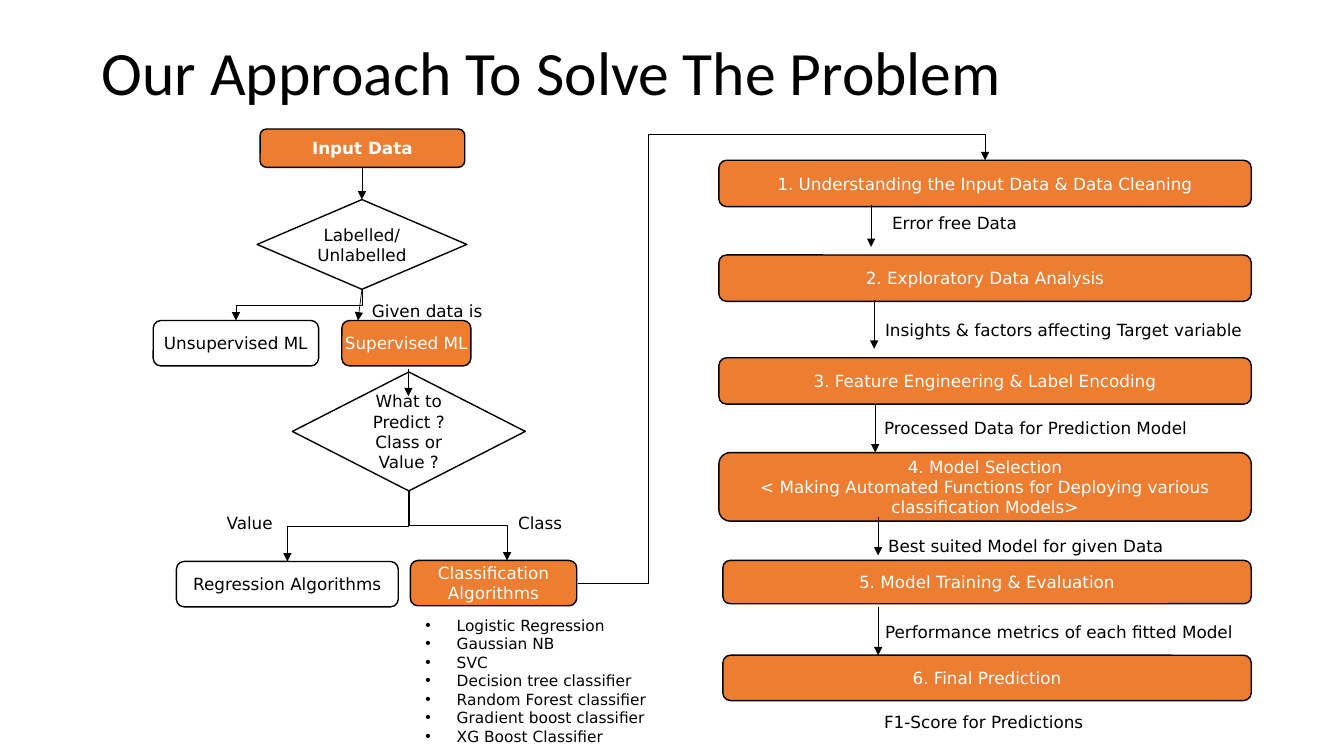
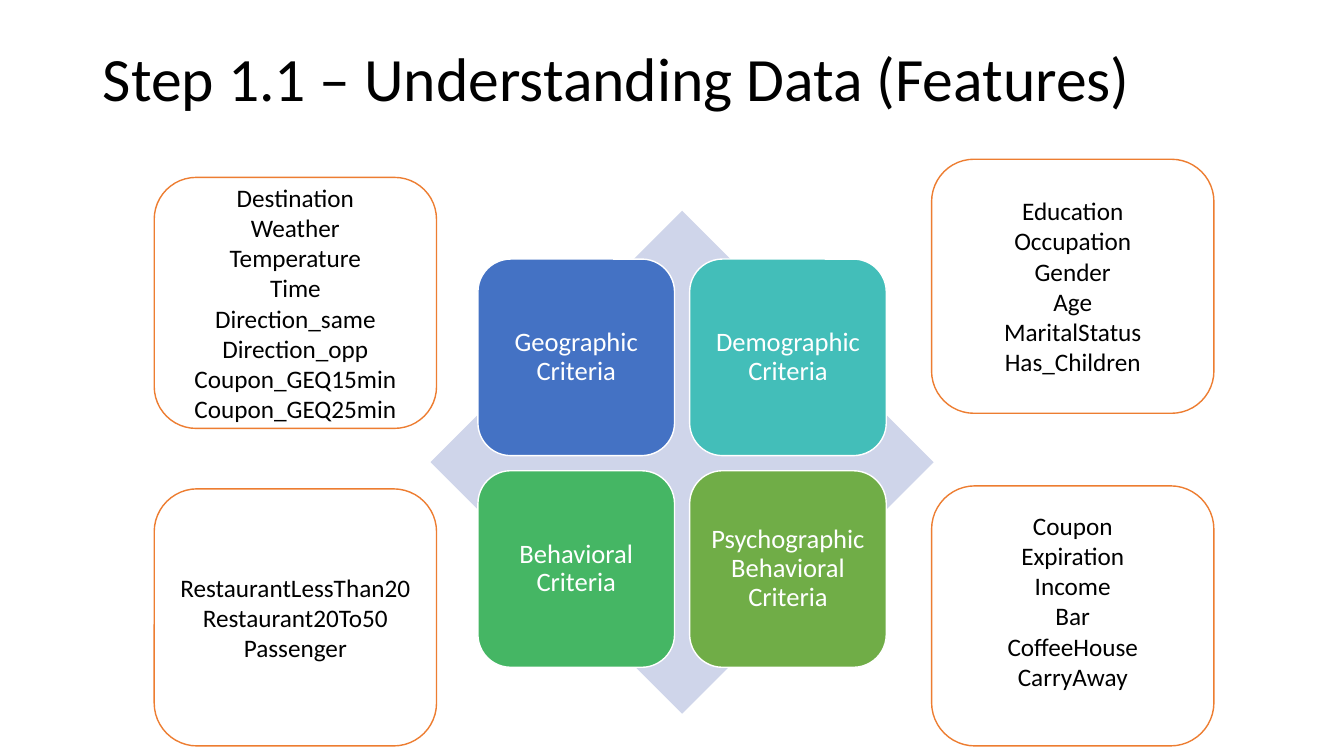
"""Build two slides: a modelling approach flowchart and a feature criteria matrix."""
from lxml.etree import SubElement
from pptx import Presentation
from pptx.dml.color import RGBColor
from pptx.enum.shapes import MSO_CONNECTOR as LINK, MSO_SHAPE as SHAPE
from pptx.enum.text import MSO_ANCHOR as ANCHOR, MSO_AUTO_SIZE as FIT, PP_ALIGN as ALIGN
from pptx.oxml.ns import qn
from pptx.util import Pt

PX = 9144
SLIDE_SIZE = (1333, 750)
COLORS = {
    "black": "000000", "white": "FFFFFF", "orange": "ED7D31", "pale": "CFD5EA",
    "blue": "4472C4", "teal": "43BEB9", "green": "45B664", "olive": "70AD47",
}
TITLE_FONT, FLOW_FONT = "Calibri", "DejaVu Sans"

APPROACH_TITLE = ("Our Approach To Solve The Problem", (91, 2, 1150, 145))
FEATURES_TITLE = ("Step 1.1 – Understanding Data (Features)", (92, 40, 1150, 81))

BULLETS_AREA = (412, 606, 255, 140)
BULLET_INDENT = 31
CLASSIFIERS = [
    "Logistic Regression", "Gaussian NB", "SVC", "Decision tree classifier",
    "Random Forest classifier", "Gradient boost classifier", "XG Boost Classifier",
]
DECISIONS = [
    (["Labelled/ Unlabelled"], (255, 198, 208, 89)),
    (["What to Predict ?", "Class or Value ?"], (290, 369, 231, 118)),
]
LABELS = [
    ("Given data is", (359, 293, 195, 30)),
    ("Class", (504, 504, 70, 30)),
    ("Value", (215, 504, 70, 26)),
    ("F1-Score for Predictions", (867, 701, 270, 30)),
]
NODES = [
    (["Input Data"], (258, 128, 203, 38), "orange", True),
    (["Unsupervised ML"], (152, 318, 164, 45), "white", False),
    (["Supervised ML"], (339, 318, 128, 45), "orange", False),
    (["Regression Algorithms"], (175, 557, 220, 45), "white", False),
    (["Classification", "Algorithms"], (407, 556, 165, 45), "orange", False),
]
ARROWS = [(359, 167, 359, 198), (359, 287, 355, 318), (405, 366, 405, 393)]
BRANCHES = [(359, 287, 234, 318), (405, 487, 285, 557), (406, 487, 503, 556)]
LOOP_ARROW = (573, 579, 977, 159)
LOOP_BENDS = (17400, 106000)

STEPS_RIGHT = 1241
STEPS = [
    (["1. Understanding the Input Data & Data Cleaning"], 713, 159, 46),
    (["2. Exploratory Data Analysis"], 713, 253, 46),
    (["3. Feature Engineering & Label Encoding"], 713, 355, 46),
    (["4. Model Selection",
      "< Making Automated Functions for Deploying various classification Models>"],
     713, 449, 68),
    (["5. Model Training & Evaluation"], 717, 556, 43),
    (["6. Final Prediction"], 717, 650, 45),
]
HANDOVERS = [
    ((864, 203, 245), "Error free Data", (875, 206, 270, 30)),
    ((867, 298, 346), "Insights & factors affecting Target variable", (868, 312, 404, 30)),
    ((868, 401, 449), "Processed Data for Prediction Model", (867, 410, 354, 30)),
    ((871, 513, 551), "Best suited Model for given Data", (871, 527, 362, 30)),
    ((871, 602, 650), "Performance metrics of each fitted Model", (868, 612, 387, 30)),
]

DIAMOND_AREA = (427, 209, 499, 499)
TILE_ORIGIN, TILE_SIZE, TILE_PITCH = (474, 257), 195, 210
TILES = [
    ("Geographic Criteria", "blue"), ("Demographic Criteria", "teal"),
    ("Behavioral Criteria", "green"), ("Psychographic Behavioral Criteria", "olive"),
]
FEATURES = [
    (["Education", "Occupation", "Gender", "Age", "MaritalStatus", "Has_Children"],
     (924, 158, 280, 252), 5),
    (["Coupon", "Expiration", "Income", "Bar", "CoffeeHouse", "CarryAway"],
     (924, 482, 280, 258), 35),
    (["RestaurantLessThan20", "Restaurant20To50", "Passenger"],
     (153, 485, 280, 255), 5),
    (["Destination", "Weather", "Temperature", "Time", "Direction_same",
      "Direction_opp", "Coupon_GEQ15min", "Coupon_GEQ25min"],
     (153, 176, 280, 249), 5),
]


def emu(lengths):
    return [length * PX for length in lengths]


def color(name):
    return RGBColor.from_string(COLORS[name])


def write(shape, lines, size, font, ink="black", align=ALIGN.LEFT, anchor=ANCHOR.TOP,
          insets=(10, 5, 10, 5), bold=False, spacing=1.0):
    frame = shape.text_frame
    frame.text = "\n".join(lines)
    frame.word_wrap = True
    frame.auto_size = FIT.NONE
    frame.vertical_anchor = anchor
    (frame.margin_left, frame.margin_top,
     frame.margin_right, frame.margin_bottom) = emu(insets)
    for para in frame.paragraphs:
        para.alignment = align
        para.line_spacing = spacing
        for span in para.runs:
            span.font.size = Pt(size)
            span.font.name = font
            span.font.bold = bold
            span.font.color.rgb = color(ink)


def place(shape, area):
    shape.left, shape.top, shape.width, shape.height = emu(area)


def new_slide(deck, layout, title):
    slide = deck.slides.add_slide(deck.slide_layouts[layout])
    text, area = title
    place(slide.shapes.title, area)
    write(slide.shapes.title, [text], 44, TITLE_FONT, anchor=ANCHOR.MIDDLE, spacing=0.9)
    return slide


def add_box(slide, kind, area, fill=None, line=None):
    box = slide.shapes.add_shape(kind, *emu(area))
    box.shadow.inherit = False
    if fill:
        box.fill.solid()
        box.fill.fore_color.rgb = color(fill)
    else:
        box.fill.background()
    if line:
        box.line.color.rgb = color(line)
        box.line.width = Pt(1)
    else:
        box.line.fill.background()
    return box


def add_node(slide, kind, lines, area, fill, bold=False):
    box = add_box(slide, kind, area, fill, "black")
    write(box, lines, 12, FLOW_FONT, "white" if fill == "orange" else "black",
          ALIGN.CENTER, ANCHOR.MIDDLE, (0, 0, 0, 0), bold)


def add_label(slide, text, area):
    write(slide.shapes.add_textbox(*emu(area)), [text], 12, FLOW_FONT)


def add_arrow(slide, ends, kind=LINK.STRAIGHT):
    arrow = slide.shapes.add_connector(kind, *emu(ends))
    arrow.line.color.rgb = color("black")
    arrow.line.width = Pt(0.5)
    outline = arrow._element.spPr.find(qn("a:ln"))
    SubElement(outline, qn("a:tailEnd"), type="triangle")
    SubElement(arrow._element.spPr, qn("a:effectLst"))
    return arrow


def add_branch(slide, ends):
    """Draw an elbow that leaves downwards, by turning the horizontal preset."""
    x1, y1, x2, y2 = ends
    across, down = abs(x2 - x1), y2 - y1
    arrow = add_arrow(slide, (0, 0, down, across), LINK.ELBOW)
    arrow.left = round(((x1 + x2 - down) / 2) * PX)
    arrow.top = round(((y1 + y2 - across) / 2) * PX)
    frame = arrow._element.spPr.find(qn("a:xfrm"))
    if x2 > x1:
        frame.set("flipH", "1")
    frame.set("rot", str((270 if x2 > x1 else 90) * 60000))


def add_loop(slide):
    arrow = add_arrow(slide, LOOP_ARROW, LINK.ELBOW)
    preset = arrow._element.spPr.find(qn("a:prstGeom"))
    preset.set("prst", "bentConnector4")
    guides = preset.find(qn("a:avLst"))
    for number, bend in enumerate(LOOP_BENDS, 1):
        SubElement(guides, qn("a:gd"), name=f"adj{number}", fmla=f"val {bend}")


def add_bullets(slide):
    body = slide.placeholders[1]
    place(body, BULLETS_AREA)
    write(body, CLASSIFIERS, 11, FLOW_FONT)
    for para in body.text_frame.paragraphs:
        para.space_before = Pt(0)
        props = para._p.get_or_add_pPr()
        props.set("marL", str(BULLET_INDENT * PX))
        props.set("indent", str(-BULLET_INDENT * PX))
        SubElement(props, qn("a:buChar"), char="•")


def build_approach(deck):
    slide = new_slide(deck, 1, APPROACH_TITLE)
    add_bullets(slide)
    for lines, area in DECISIONS:
        add_node(slide, SHAPE.FLOWCHART_DECISION, lines, area, "white")
    for text, area in LABELS:
        add_label(slide, text, area)
    for lines, area, fill, bold in NODES:
        add_node(slide, SHAPE.ROUNDED_RECTANGLE, lines, area, fill, bold)
    for lines, left, top, height in STEPS:
        area = (left, top, STEPS_RIGHT - left, height)
        add_node(slide, SHAPE.ROUNDED_RECTANGLE, lines, area, "orange")
    for (x, top, bottom), text, area in HANDOVERS:
        add_arrow(slide, (x, top, x, bottom))
        add_label(slide, text, area)
    for ends in ARROWS:
        add_arrow(slide, ends)
    for ends in BRANCHES:
        add_branch(slide, ends)
    add_loop(slide)


def build_features(deck):
    slide = new_slide(deck, 5, FEATURES_TITLE)
    add_box(slide, SHAPE.DIAMOND, DIAMOND_AREA, "pale")
    for index, (text, fill) in enumerate(TILES):
        row, column = divmod(index, 2)
        area = (TILE_ORIGIN[0] + column * TILE_PITCH, TILE_ORIGIN[1] + row * TILE_PITCH,
                TILE_SIZE, TILE_SIZE)
        tile = add_box(slide, SHAPE.ROUNDED_RECTANGLE, area, fill, "white")
        write(tile, [text], 19, TITLE_FONT, "white", ALIGN.CENTER, ANCHOR.MIDDLE,
              (8, 8, 8, 8), spacing=0.9)
    for lines, area, bottom_inset in FEATURES:
        box = add_box(slide, SHAPE.ROUNDED_RECTANGLE, area, line="orange")
        write(box, lines, 18, TITLE_FONT, align=ALIGN.CENTER, anchor=ANCHOR.MIDDLE,
              insets=(10, 5, 10, bottom_inset))


def main():
    deck = Presentation()
    deck.slide_width, deck.slide_height = emu(SLIDE_SIZE)
    build_approach(deck)
    build_features(deck)
    deck.save("out.pptx")


if __name__ == "__main__":
    main()
